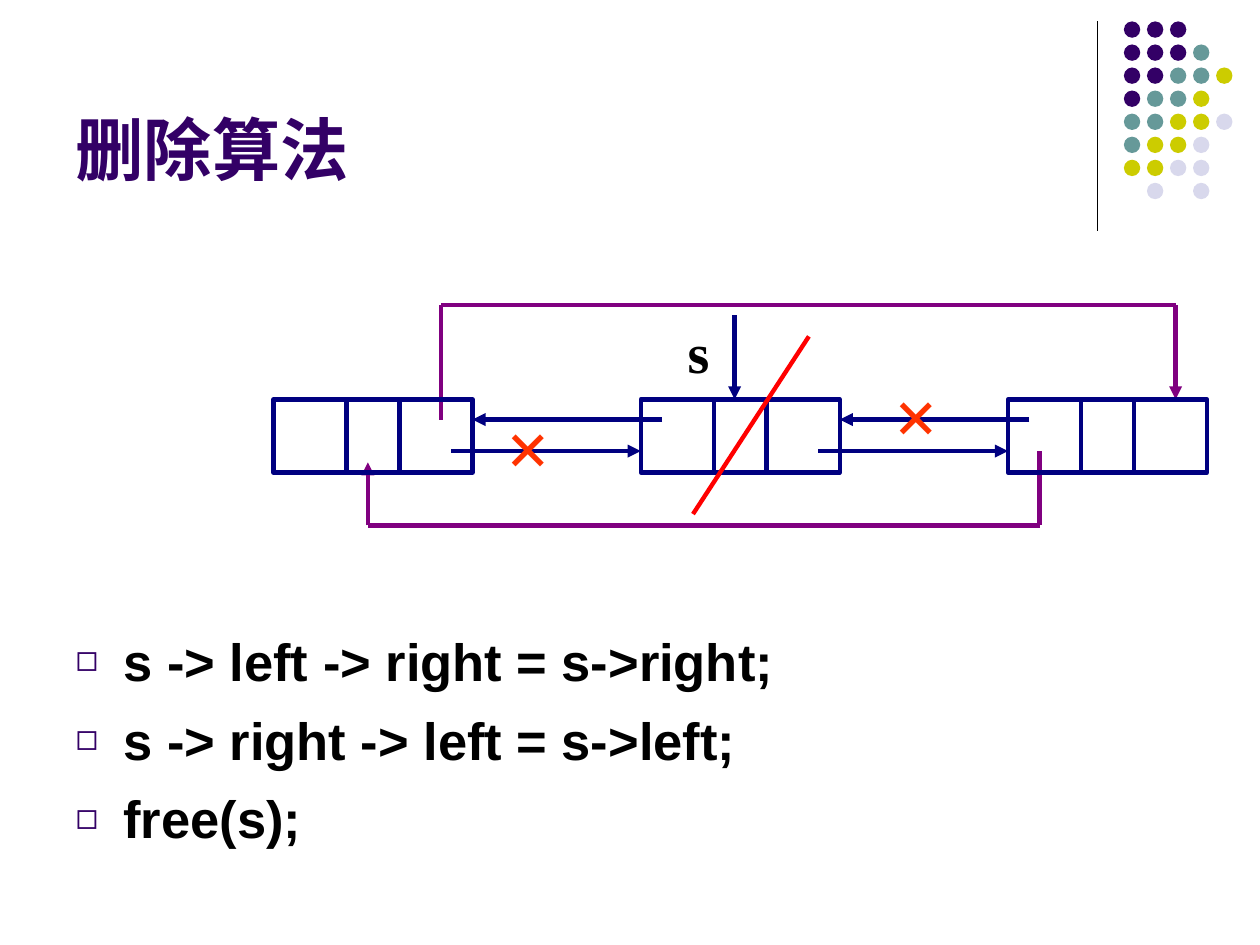
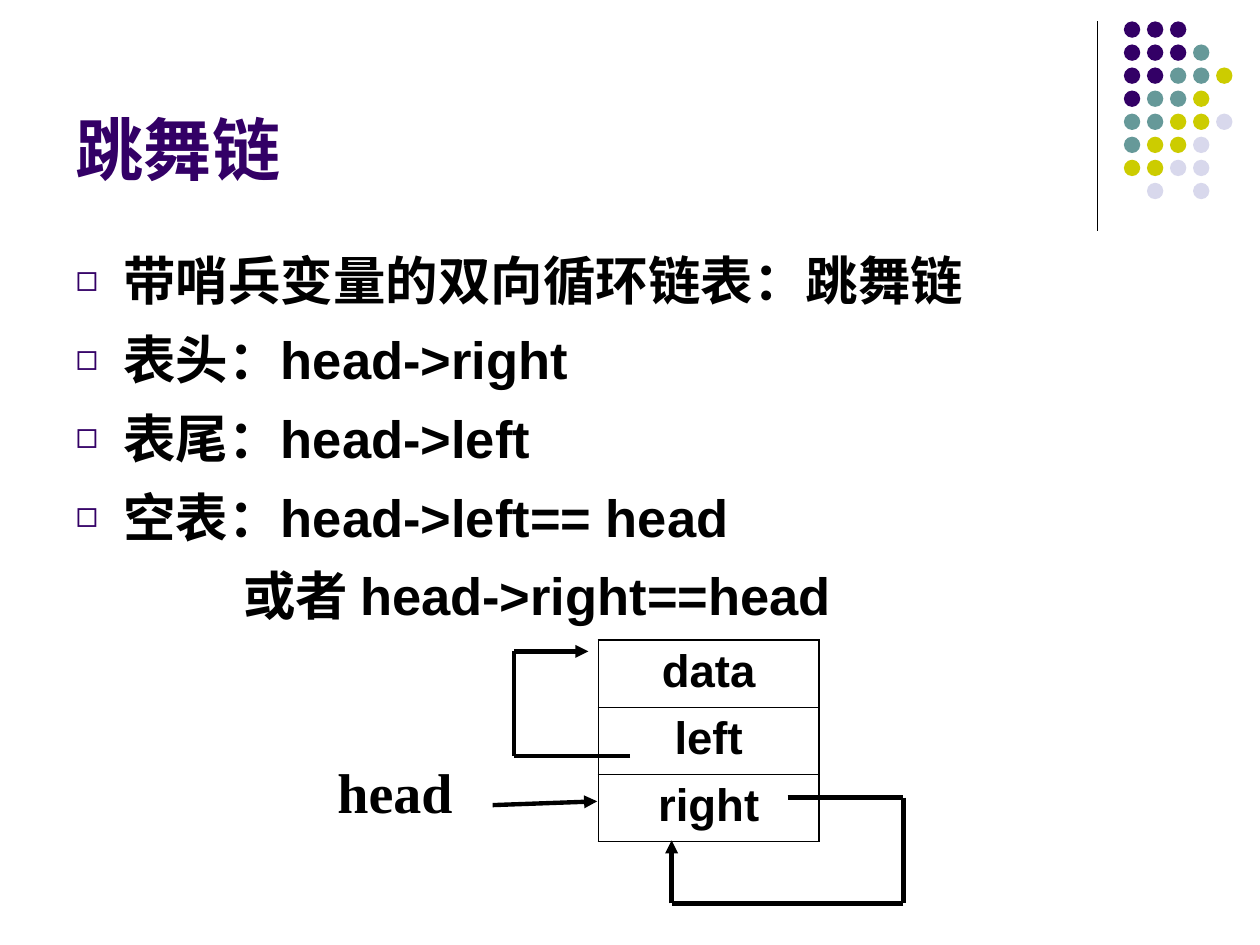
from itertools import pairwise

from lxml import etree
from pptx import Presentation
from pptx.dml.color import RGBColor
from pptx.enum import shapes, text
from pptx.oxml import ns
from pptx.util import Inches, Pt

COLOURS = {
    "purple": "330066", "teal": "669999", "lime": "CCCC00", "lilac": "D8D8EC",
    "black": "000000", "node": "000080", "new link": "800080",
    "strike": "FF0000", "cross": "FF3300",
}
RGB = {name: RGBColor.from_string(value) for name, value in COLOURS.items()}


def add_lines(slide, points, colour, width=2.5, arrow=False):
    """Join the points with straight lines; an arrow goes on the last one."""
    for (x1, y1), (x2, y2) in pairwise(points):
        line = slide.shapes.add_connector(
            shapes.MSO_CONNECTOR.STRAIGHT, Inches(x1), Inches(y1), Inches(x2), Inches(y2))
        line.line.color.rgb = RGB[colour]
        line.line.width = Pt(width)
        etree.SubElement(line.element.spPr, ns.qn("a:effectLst"))
    if arrow:
        etree.SubElement(line.line._get_or_add_ln(), ns.qn("a:tailEnd"), type="triangle")


def style(paragraph, size, colour="black", font="Arial"):
    paragraph.font.size = Pt(size)
    paragraph.font.name = font
    paragraph.font.bold = True
    paragraph.font.color.rgb = RGB[colour]


prs = Presentation()
prs.slide_width, prs.slide_height = Inches(10), Inches(7.5)
layout = prs.slide_layouts[1]

# Titles and lists: title, top and height of the list, (text, has bullet)
contents = [
    ("删除算法", 4.94, 1.95, [
        ("s -> left -> right = s->right;", True),
        ("s -> right -> left = s->left;", True),
        ("free(s);", True)]),
    ("跳舞链", 1.92, 4.78, [
        ("带哨兵变量的双向循环链表：跳舞链", True),
        ("表头：head->right", True),
        ("表尾：head->left", True),
        ("空表：head->left== head", True),
        ("或者 head->right==head", False)]),
]
for heading, list_top, list_height, items in contents:
    slide = prs.slides.add_slide(layout)
    title, body = slide.placeholders
    title.left, title.top, title.width, title.height = map(Inches, (0.5, 0.13, 8.25, 1.42))
    title.text_frame.text = heading
    title.text_frame.vertical_anchor = text.MSO_ANCHOR.BOTTOM
    title.text_frame.paragraphs[0].alignment = text.PP_ALIGN.LEFT
    style(title.text_frame.paragraphs[0], 39, "purple")

    body.left, body.top, body.width, body.height = map(Inches, (0.5, list_top, 9, list_height))
    body.text_frame.text = "\n".join(item for item, _ in items)
    body.text_frame.auto_size = text.MSO_AUTO_SIZE.NONE
    for i, (paragraph, (_, bulleted)) in enumerate(zip(body.text_frame.paragraphs, items)):
        props = paragraph._p.get_or_add_pPr()
        props.set("marL", str(Inches(0.38 if bulleted else 1.33)))
        props.set("indent", str(Inches(-0.38 if bulleted else 0)))
        if bulleted:
            bullet_colour = etree.SubElement(props, ns.qn("a:buClr"))
            etree.SubElement(bullet_colour, ns.qn("a:srgbClr"), val=COLOURS["purple"])
            etree.SubElement(props, ns.qn("a:buSzPct"), val="70000")
            etree.SubElement(props, ns.qn("a:buFont"), typeface="Arial")
            etree.SubElement(props, ns.qn("a:buChar"), char="◻")
        else:
            etree.SubElement(props, ns.qn("a:buNone"))
        paragraph.space_before = Pt(9 if i else 0)
        style(paragraph, 30)

deletion, dancing = prs.slides

# Shared corner: a rule and a grid of dots, drawn once and moved to the layout
already_there = len(deletion.shapes)
add_lines(deletion, [(8.71, 0.17), (8.71, 1.83)], "black", 0.75)
dot_colours = {"P": "purple", "T": "teal", "Y": "lime", "L": "lilac"}
dot_rows = ["PPP", "PPPT", "PPTTY", "PTTY", "TTYYL", "TYYL", "YYLL", ".L.L"]
for row, codes in enumerate(dot_rows):
    for col, code in enumerate(codes):
        if code in dot_colours:
            dot = deletion.shapes.add_shape(
                shapes.MSO_SHAPE.OVAL, Inches(8.92 + col * 0.183), Inches(0.17 + row * 0.183),
                Inches(0.13), Inches(0.13))
            dot.shadow.inherit = False
            dot.fill.solid()
            dot.fill.fore_color.rgb = RGB[dot_colours[code]]
            dot.line.fill.background()
for number, part in enumerate(list(deletion.shapes)[already_there:], start=20):
    part.element.xpath("./*/p:cNvPr")[0].set("id", str(number))
    layout.shapes.element.append(part.element)

# Deletion: the two links that bypass s
add_lines(deletion, [(8.25, 3.58), (8.25, 4.17), (2.92, 4.17), (2.92, 3.67)], "new link", arrow=True)
add_lines(deletion, [(3.5, 3.33), (3.5, 2.42), (9.33, 2.42), (9.33, 3.17)], "new link", arrow=True)

# Deletion: three nodes with three fields each, linked both ways
node_pitch, node_width = 2.915, 1.58
for i in range(3):
    left = 2.17 + i * node_pitch
    node = deletion.shapes.add_shape(
        shapes.MSO_SHAPE.RECTANGLE, Inches(left), Inches(3.17), Inches(node_width), Inches(0.58))
    node.shadow.inherit = False
    node.fill.background()
    node.line.color.rgb = RGB["node"]
    node.line.width = Pt(2.5)
    for divider in (left + 0.58, left + 1):
        add_lines(deletion, [(divider, 3.17), (divider, 3.75)], "node")
    if i < 2:
        right, following = left + node_width, left + node_pitch
        add_lines(deletion, [(following + 0.17, 3.33), (right, 3.33)], "node", arrow=True)
        add_lines(deletion, [(right - 0.17, 3.58), (following, 3.58)], "node", arrow=True)

# Deletion: pointer to s and the stroke through its node
add_lines(deletion, [(5.83, 2.5), (5.83, 3.17)], "node", arrow=True)
add_lines(deletion, [(6.42, 2.67), (5.5, 4.08)], "strike")

# Dancing links: sentinel node
sentinel = dancing.shapes.add_table(
    3, 1, Inches(4.75), Inches(5.08), Inches(1.75), Inches(1.6)).table
sentinel.first_row = sentinel.horz_banding = False
for row, field in enumerate(("data", "left", "right")):
    cell = sentinel.cell(row, 0)
    cell.text = field
    cell.text_frame.paragraphs[0].alignment = text.PP_ALIGN.CENTER
    style(cell.text_frame.paragraphs[0], 26)
    borders = {"lnL": 1.08, "lnR": 1.08,
               "lnT": 0.45 if row else 1.08, "lnB": 1.08 if row == 2 else 0.45}
    for side, width in borders.items():
        border = etree.SubElement(cell._tc.get_or_add_tcPr(), ns.qn("a:" + side), w=str(Pt(width)))
        border_fill = etree.SubElement(border, ns.qn("a:solidFill"))
        etree.SubElement(border_fill, ns.qn("a:srgbClr"), val=COLOURS["black"])
    cell.fill.background()

# Dancing links: head pointer and both links back to the sentinel
for link in (
    [(3.91, 6.39), (4.74, 6.36)],
    [(6.25, 6.33), (7.17, 6.33), (7.17, 7.17), (5.33, 7.17), (5.33, 6.67)],
    [(5, 6), (4.08, 6), (4.08, 5.17), (4.67, 5.17)],
):
    add_lines(dancing, link, "black", arrow=True)

# Labels and crosses: slide, text, left, top, width, height, size, colour
for slide, label, left, top, width, height, size, colour in (
    (deletion, "s", 5.36, 2.47, 0.45, 0.59, 32, "black"),
    (deletion, "×", 7, 2.87, 0.92, 0.78, 44, "cross"),
    (deletion, "×", 3.92, 3.12, 0.92, 0.78, 44, "cross"),
    (dancing, "head", 2.58, 5.96, 1.33, 0.59, 32, "black"),
):
    frame = slide.shapes.add_textbox(*map(Inches, (left, top, width, height))).text_frame
    frame.word_wrap = True
    frame.text = label
    style(frame.paragraphs[0], size, colour, "Times New Roman")

prs.save("out.pptx")
